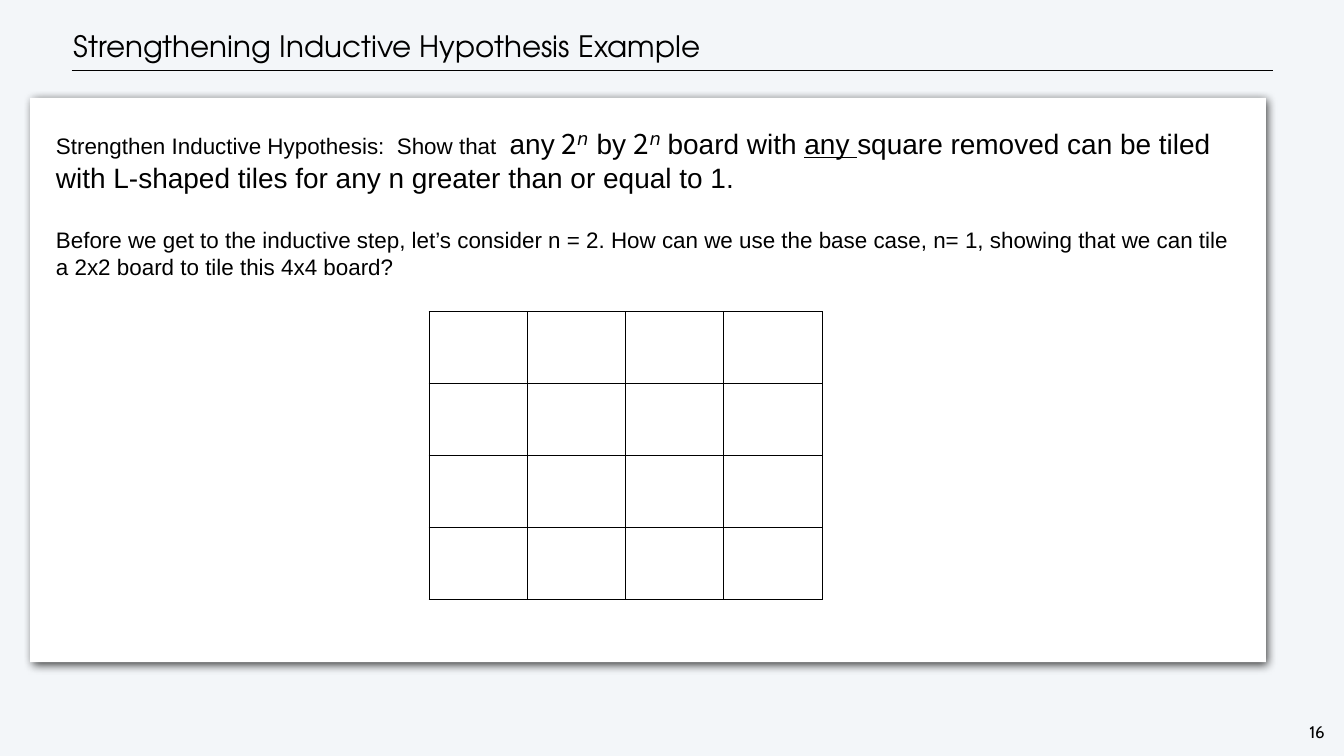
from lxml.etree import SubElement
from pptx import Presentation
from pptx.dml.color import RGBColor
from pptx.enum.shapes import MSO_CONNECTOR, MSO_SHAPE
from pptx.enum.text import MSO_ANCHOR, PP_ALIGN
from pptx.oxml import parse_xml
from pptx.oxml.ns import nsdecls, qn
from pptx.util import Inches, Pt

BLACK, WHITE, PAGE = "000000", "FFFFFF", "F3F6F9"
BODY = {"size": 32}
CLAIM = {"size": 40}
BASE = {"size": 40, "font": "Noto Sans CJK TC", "spacing": 40}
EXPONENT = {"size": 44, "font": "DejaVu Sans", "spacing": 60,
            "italic": True, "baseline": 28000}

HYPOTHESIS = [
    ("Strengthen Inductive Hypothesis:  Show that  ", BODY),
    ("any", CLAIM),
    (" 2", BASE), ("n", EXPONENT),
    (" by ", CLAIM),
    ("2", BASE), ("n ", EXPONENT),
    ("board with ", CLAIM),
    ("any ", {"size": 40, "underline": True}),
    ("square removed can be tiled with L-shaped tiles for any n "
     "greater than or equal to 1.", CLAIM),
]
QUESTION = [
    ("Before we get to the inductive step, let’s consider n = 2. How can we "
     "use the base case, n= 1, showing that we can tile a 2x2 board to tile "
     "this 4x4 board?", BODY),
]


def rgb(value):
    return RGBColor.from_string(value)


def box(x, y, w, h):
    return Inches(x), Inches(y), Inches(w), Inches(h)


class SlideBuilder:
    def __init__(self, slide):
        self.s = slide
        fill = slide.background.fill
        fill.solid()
        fill.fore_color.rgb = rgb(PAGE)

    def style(self, r, size, font="Arial", italic=False, underline=False,
              spacing=0, baseline=0):
        r.font.size = Pt(size)
        r.font.name = font
        r.font.italic = italic
        r.font.underline = underline
        r.font.color.rgb = rgb(BLACK)
        rPr = r.font._element
        rPr.set("spc", str(spacing))
        rPr.set("baseline", str(baseline))
        for tag in ("a:ea", "a:cs"):
            SubElement(rPr, qn(tag)).set("typeface", font)

    def frame(self, sp, inset, anchor=MSO_ANCHOR.TOP, wrap=True):
        tf = sp.text_frame
        tf.margin_left = tf.margin_right = Inches(inset)
        tf.margin_top = tf.margin_bottom = Inches(inset)
        tf.vertical_anchor = anchor
        tf.word_wrap = wrap
        return tf

    def title(self, text):
        sp = self.s.shapes.title
        sp.left, sp.top, sp.width, sp.height = box(1.39, 0.42, 22.62, 0.99)
        tf = self.frame(sp, 0.06, MSO_ANCHOR.MIDDLE)
        tf.text = text
        p = tf.paragraphs[0]
        p.alignment = PP_ALIGN.LEFT
        p.line_spacing = Pt(50)
        p.space_before = Pt(3)
        self.style(p.runs[0], 42, "TeX Gyre Adventor")

    def rule(self, x1, x2, y):
        line = self.s.shapes.add_connector(
            MSO_CONNECTOR.STRAIGHT, Inches(x1), Inches(y), Inches(x2), Inches(y))
        line.line.color.rgb = rgb(BLACK)
        line.line.width = Pt(1)
        SubElement(line._element.spPr, qn("a:effectLst"))

    def card(self, bounds, paragraphs, gap):
        """White panel with a soft shadow; gap is the space between paragraphs."""
        sp = self.s.shapes.add_shape(MSO_SHAPE.RECTANGLE, *box(*bounds))
        sp.fill.solid()
        sp.fill.fore_color.rgb = rgb(WHITE)
        sp.line.fill.background()
        sp._element.spPr.append(parse_xml(
            f'<a:effectLst {nsdecls("a")}><a:outerShdw blurRad="{Pt(13)}" '
            f'dist="{Pt(6)}" dir="2700000" algn="tl" rotWithShape="0">'
            f'<a:srgbClr val="{BLACK}"><a:alpha val="75000"/></a:srgbClr>'
            '</a:outerShdw></a:effectLst>'))
        tf = self.frame(sp, 0.51)
        for i, runs in enumerate(paragraphs):
            p = tf.add_paragraph() if i else tf.paragraphs[0]
            p.alignment = PP_ALIGN.LEFT
            p.space_before = Pt(gap if i else 0)
            for text, look in runs:
                r = p.add_run()
                r.text = text
                self.style(r, **look)

    def board(self, x, y, n, cell_w, cell_h):
        """Empty n by n grid with thin black borders."""
        table = self.s.shapes.add_table(
            n, n, *box(x, y, n * cell_w, n * cell_h)).table
        table.first_row = table.horz_banding = False
        for col in table.columns:
            col.width = Inches(cell_w)
        for row in table.rows:
            row.height = Inches(cell_h)
        for cell in table.iter_cells():
            tcPr = cell._tc.get_or_add_tcPr()
            for side in ("lnL", "lnR", "lnT", "lnB"):
                tcPr.append(parse_xml(
                    f'<a:{side} {nsdecls("a")} w="{Pt(1)}"><a:solidFill>'
                    f'<a:srgbClr val="{BLACK}"/></a:solidFill></a:{side}>'))
            cell.fill.background()

    def page_number(self, text):
        sp = self.s.shapes.add_textbox(*box(25.92, 14.29, 0.43, 0.47))
        tf = self.frame(sp, 0.04, wrap=False)
        tf.text = text
        p = tf.paragraphs[0]
        p.alignment = PP_ALIGN.CENTER
        p.line_spacing = Pt(28)
        self.style(p.runs[0], 24, "Cabin")


def main():
    prs = Presentation()
    prs.slide_width, prs.slide_height = Inches(26.67), Inches(15)
    s = SlideBuilder(prs.slides.add_slide(prs.slide_layouts[5]))
    s.rule(1.42, 25.27, 1.4)
    s.page_number("16")
    s.title("Strengthening Inductive Hypothesis Example")
    s.card((0.6, 1.94, 24.52, 11.2), [HYPOTHESIS, QUESTION], gap=46)
    s.board(8.51, 6.18, n=4, cell_w=1.95, cell_h=1.43)
    prs.save("out.pptx")


if __name__ == "__main__":
    main()
